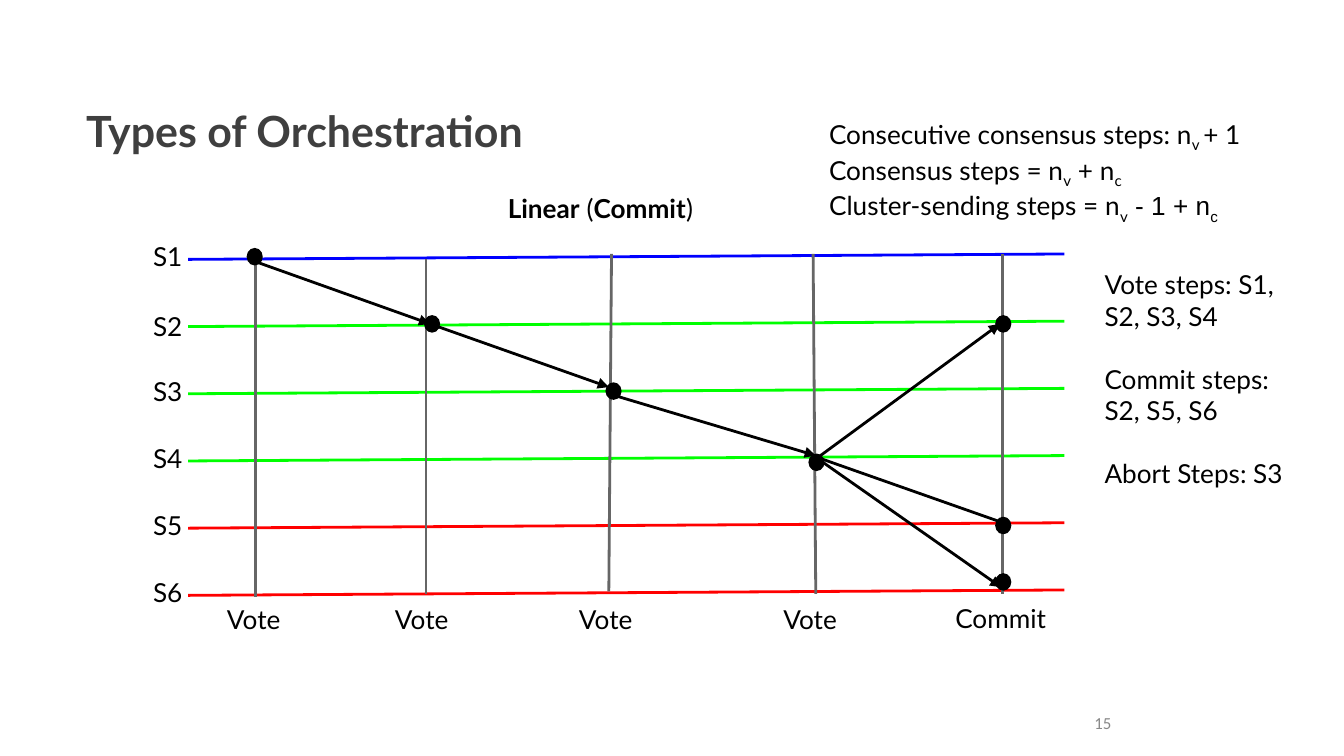
from lxml import etree
from pptx import Presentation
from pptx.dml.color import RGBColor
from pptx.enum.shapes import MSO_CONNECTOR, MSO_SHAPE
from pptx.enum.text import MSO_ANCHOR, PP_ALIGN
from pptx.oxml.ns import qn
from pptx.util import Inches, Pt

STRAIGHT = MSO_CONNECTOR.STRAIGHT
OVAL = MSO_SHAPE.OVAL
TOP, MIDDLE, BOTTOM = MSO_ANCHOR.TOP, MSO_ANCHOR.MIDDLE, MSO_ANCHOR.BOTTOM
LEFT, RIGHT = PP_ALIGN.LEFT, PP_ALIGN.RIGHT

COLORS = {
    "title": "3F3F3F", "number": "888888", "text": "000000", "black": "000000",
    "source": "0000FF", "vote": "00FF00", "abort": "FF0000", "step": "666666",
}

# A run is (text, options); each paragraph is a list of runs.
TITLE = [[("Types of Orchestration", {"bold": True})]]
SLIDE_NUMBER = [[("15", {})]]
SUBTITLE = [[("Linear", {"bold": True}), (" (", {}),
             ("Commit", {"bold": True}), (")", {})]]
SUB = {"subscript": True}
ARIAL = {"font": "Arial"}
FORMULAS = [
    [("Consecutive consensus steps: n", {}), ("v ", SUB), ("+ 1", {})],
    [("Consensus steps = n", {}), ("v", SUB), (" + n", {}), ("c", SUB)],
    [("Cluster-sending steps = n", {}), ("v", SUB), (" - 1 + n", ARIAL),
     ("c", {**SUB, **ARIAL})],
]
STEP_NOTES = [
    [("Vote steps: S1, S2, S3, S4", {})],
    [("Commit steps: S2, S5, S6", {})],
    [("Abort Steps: S3", {})],
]

# Shard name, line color, top of its label
SHARDS = [
    ("S1", "source", 1.69), ("S2", "vote", 2.21), ("S3", "vote", 2.69),
    ("S4", "vote", 3.19), ("S5", "abort", 3.69), ("S6", "abort", 4.19),
]
# Step name, label (left, top, width), line start, line end
STEPS = [
    ("Vote", (1.59, 4.39, 0.61), (1.9, 1.93), (1.9, 4.44)),
    ("Vote", (2.84, 4.39, 0.67), (3.17, 1.93), (3.17, 4.42)),
    ("Vote", (4.21, 4.39, 0.67), (4.55, 1.89), (4.53, 4.4)),
    ("Vote", (5.73, 4.39, 0.69), (6.05, 1.89), (6.07, 4.42)),
    ("Commit", (7.01, 4.38, 0.9), (7.46, 1.89), (7.46, 4.42)),
]
MESSAGES = [
    ((1.91, 1.95), (3.2, 2.41)),
    ((3.2, 2.41), (4.53, 2.88)),
    ((4.53, 2.93), (6.07, 3.39)),
    ((6.08, 3.41), (7.45, 4.37)),
    ((6.1, 3.41), (7.52, 3.91)),
    ((6.05, 3.43), (7.44, 2.41)),
]
NODES = [(1.84, 1.85), (3.16, 2.35), (4.51, 2.85), (6.02, 3.38),
         (7.41, 4.27), (7.41, 3.85), (7.41, 2.35)]

SLIDE_WIDTH = Inches(10)
SLIDE_HEIGHT = SLIDE_WIDTH * 9 // 16
SHARD_LEFT, SHARD_RIGHT = 1.4, 7.92
FIRST_SHARD_Y, SHARD_GAP, SHARD_RISE = 1.93, 0.5, 0.04
LABEL_HEIGHT = 0.44
NODE_SIZE = (0.11, 0.12)


def rgb(name):
    return RGBColor.from_string(COLORS[name])


def add_text(slide, box, paragraphs, size=14, font="Lato", color="text",
             anchor=TOP, align=LEFT, insets=(0.1, 0.1), gap=0, line_spacing=None):
    shape = slide.shapes.add_textbox(*map(Inches, box))
    frame = shape.text_frame
    frame.word_wrap = True
    frame.vertical_anchor = anchor
    frame.margin_left = frame.margin_right = Inches(insets[0])
    frame.margin_top = frame.margin_bottom = Inches(insets[1])
    for index, runs in enumerate(paragraphs):
        paragraph = frame.add_paragraph() if index else frame.paragraphs[0]
        paragraph.alignment = align
        if line_spacing:
            paragraph.line_spacing = line_spacing
        if index and gap:
            paragraph.space_before = Pt(gap)
        for text, options in runs:
            run = paragraph.add_run()
            run.text = text
            run.font.name = options.get("font", font)
            run.font.size = Pt(size)
            run.font.bold = options.get("bold", False)
            run.font.color.rgb = rgb(color)
            if options.get("subscript"):
                run._r.get_or_add_rPr().set("baseline", "-25000")


def add_line(slide, start, end, color, arrow=False):
    connector = slide.shapes.add_connector(STRAIGHT, *map(Inches, start + end))
    connector.line.color.rgb = rgb(color)
    connector.line.width = Pt(1.5)
    if arrow:
        etree.SubElement(connector.line._get_or_add_ln(), qn("a:tailEnd"), type="triangle")
    etree.SubElement(connector._element.spPr, qn("a:effectLst"))


def add_node(slide, corner):
    node = slide.shapes.add_shape(OVAL, *map(Inches, corner + NODE_SIZE))
    node.shadow.inherit = False
    node.fill.solid()
    node.fill.fore_color.rgb = rgb("black")
    node.line.color.rgb = rgb("black")
    node.line.width = Pt(0.75)


def main():
    presentation = Presentation()
    presentation.slide_width = SLIDE_WIDTH
    presentation.slide_height = SLIDE_HEIGHT
    slide = presentation.slides.add_slide(presentation.slide_layouts[6])

    add_text(slide, (0.57, 0.79, 8.88, 0.42), TITLE, size=23, color="title",
             anchor=BOTTOM, insets=(0.07, 0.04), line_spacing=0.9)
    add_text(slide, (7.06, 5.23, 1.28, 0.3), SLIDE_NUMBER, size=9, font="Calibri",
             color="number", anchor=MIDDLE, align=RIGHT, insets=(0.07, 0.04))

    for index, (name, color, label_top) in enumerate(SHARDS):
        y = FIRST_SHARD_Y + index * SHARD_GAP
        add_line(slide, (SHARD_LEFT, y), (SHARD_RIGHT, y - SHARD_RISE), color)
        add_text(slide, (1.04, label_top, 0.45, LABEL_HEIGHT), [[(name, {})]])
    for name, label, start, end in STEPS:
        add_line(slide, start, end, "step")
        add_text(slide, label + (LABEL_HEIGHT,), [[(name, {})]])
    for start, end in MESSAGES:
        add_line(slide, start, end, "black", arrow=True)
    for corner in NODES:
        add_node(slide, corner)

    add_text(slide, (3.68, 1.33, 1.76, LABEL_HEIGHT), SUBTITLE)
    add_text(slide, (6.07, 0.78, 3.65, 0.91), FORMULAS)
    add_text(slide, (8.12, 1.9, 1.6, 1.85), STEP_NOTES, gap=16.8)

    presentation.save("out.pptx")


if __name__ == "__main__":
    main()
